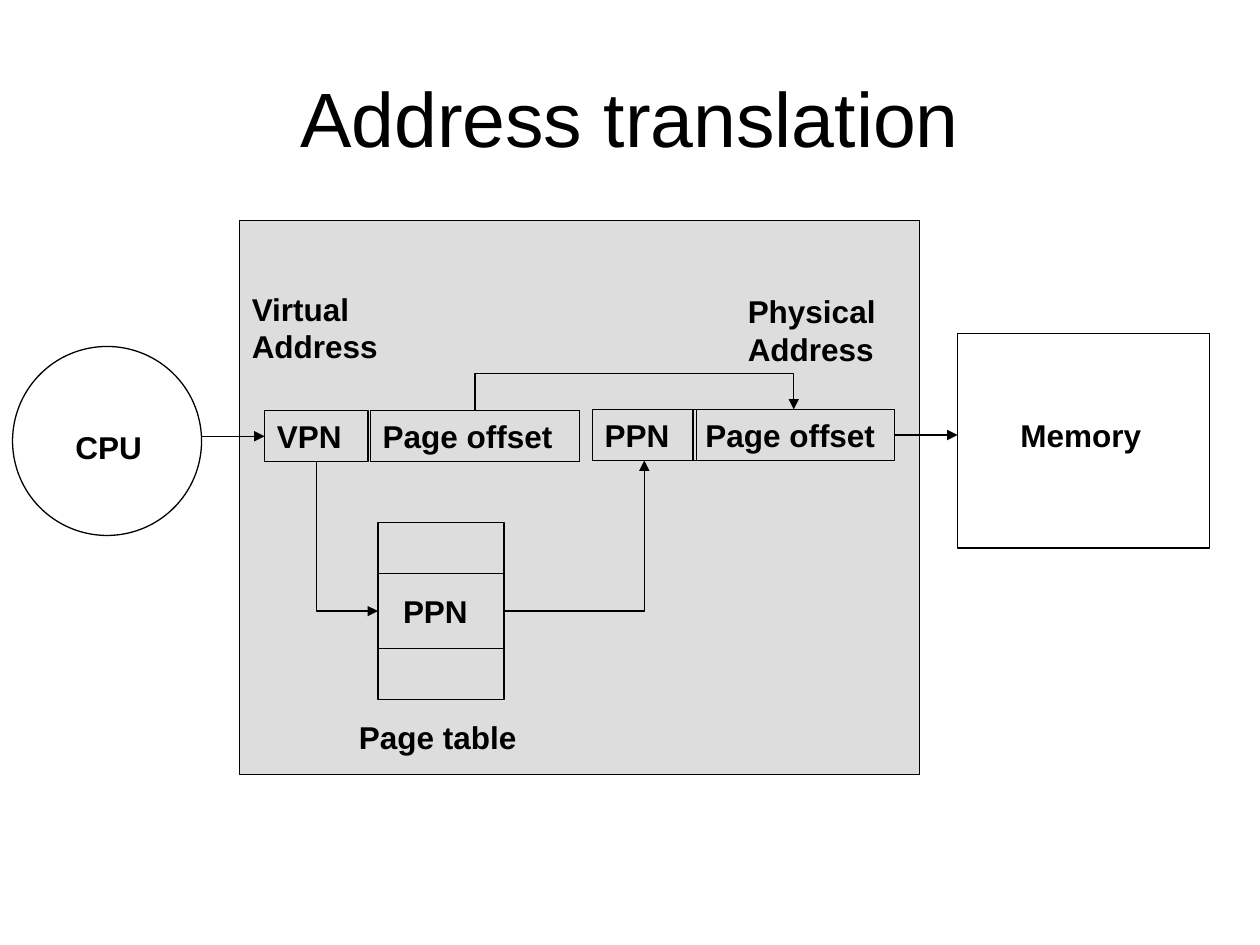
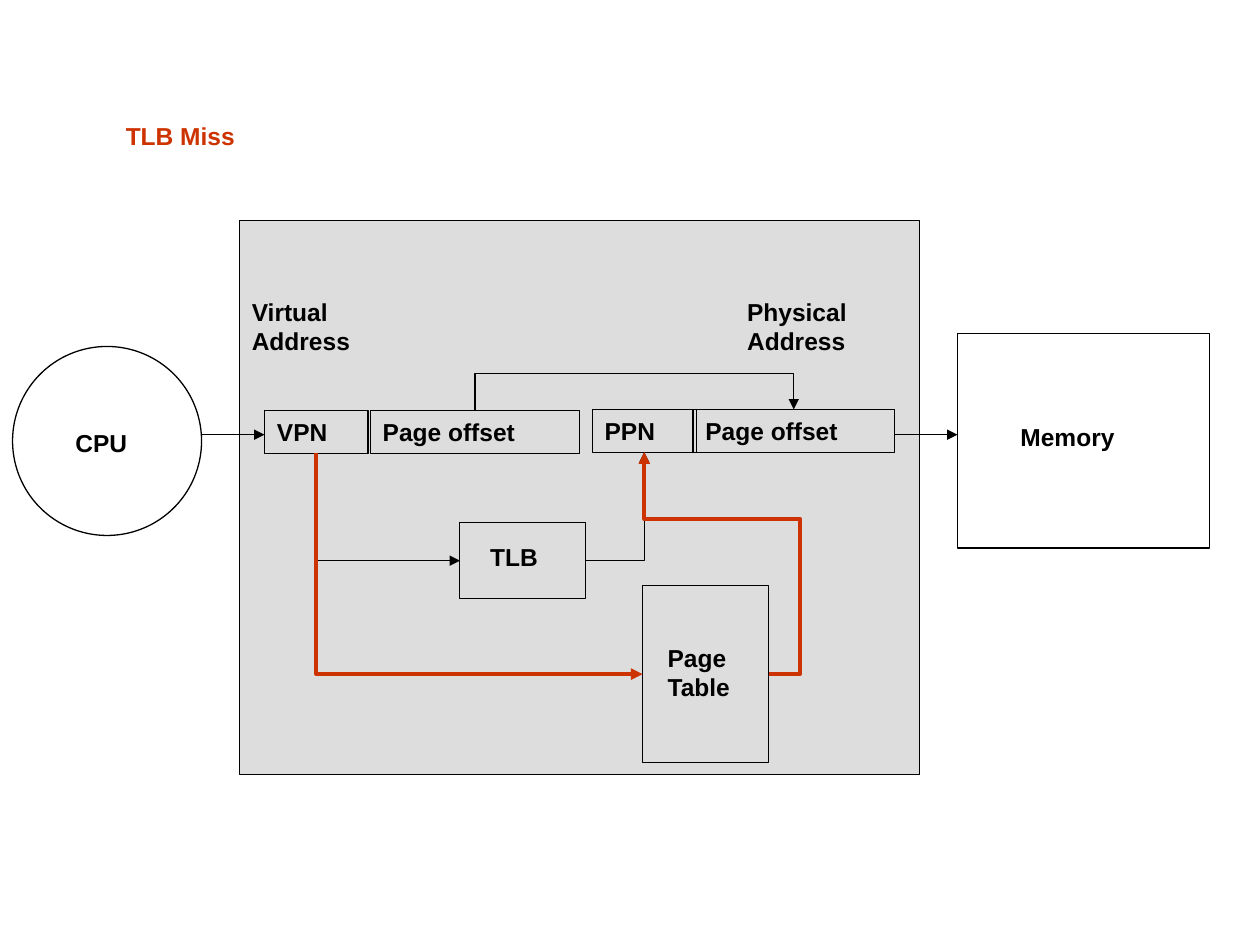
"""Build two slides on virtual address translation: page table lookup and TLB miss."""
import dataclasses

import pptx
import pptx.dml.color
import pptx.enum.shapes
import pptx.enum.text
import pptx.oxml.ns
import pptx.util
from lxml import etree

Pt = pptx.util.Pt
TOP, LEFT, BOTTOM, RIGHT = range(4)


@dataclasses.dataclass(frozen=True)
class Theme:
    font: str = "Arial"
    ink: str = "000000"
    panel: str = "DDDDDD"
    highlight: str = "CC3300"
    title_size: float = 44
    thin: float = 0.75
    thick: float = 2.25


THEME = Theme()
TITLE_FRAME = (36, 21.6, 648, 90)
PANEL = (136.8, 126, 388.8, 316.8)
CPU = (7.2, 198, 108, 108)
MEMORY = (547.2, 190.8, 144, 122.4)
BUS_Y = 248.4
OFFSET_RAIL = 213.8

ADDRESS_FIELDS = {
    "virtual page": ("VPN", 151.2, 234.7, 59.2),
    "virtual offset": ("Page offset", 211.6, 234.7, 119.6),
    "physical page": ("PPN", 338.4, 234, 59.6),
    "physical offset": ("Page offset", 396, 234, 115.2),
}
OFFSET_ROUTE = ("virtual offset", TOP, "physical offset", TOP, (OFFSET_RAIL,), False)

SLIDES = [
    {
        "title": "Address translation",
        "text_size": 18,
        "field_height": 29.2,
        "labels": [
            ("CPU", 36, 241.2, 72),
            ("Memory", 576, 234, 98),
            ("Virtual\nAddress", 136.8, 162, 100),
            ("Physical\nAddress", 420.2, 163.4, 104),
            ("Page table", 198, 406.8, 116),
            ("PPN", 223.2, 334.8, 62),
        ],
        "boxes": {
            "page table": (216, 298.8, 72, 100.8),
            "table entry": (216, 327.6, 72, 43.2),
        },
        "routes": [
            ("virtual page", BOTTOM, "table entry", LEFT, (), False),
            ("table entry", RIGHT, "physical page", BOTTOM, (), False),
            OFFSET_ROUTE,
        ],
    },
    {
        "text_size": 14,
        "field_height": 24.4,
        "labels": [
            ("CPU", 36, 241.2, 72),
            ("Memory", 576, 237.6, 82),
            ("Virtual\nAddress", 136.8, 166.2, 82),
            ("Physical\nAddress", 419.8, 166.2, 85),
            ("Page\nTable", 374.4, 363.6, 62),
            ("TLB", 273, 306, 52),
        ],
        "callout": ("TLB Miss", 64.8, 65.5, 80),
        "boxes": {
            "page table": (367.2, 334.8, 72, 100.8),
            "TLB": (262.8, 298.8, 72, 43.2),
        },
        "routes": [
            ("virtual page", BOTTOM, "TLB", LEFT, (), False),
            ("TLB", RIGHT, "physical page", BOTTOM, (), False),
            OFFSET_ROUTE,
            ("virtual page", BOTTOM, "page table", LEFT, (), True),
            ("page table", RIGHT, "physical page", BOTTOM, (457.2, 296.6), True),
        ],
    },
]


def rgb(value):
    return pptx.dml.color.RGBColor.from_string(value)


def write(shape, text, size, bold=True, color=THEME.ink, align="LEFT", anchor="TOP"):
    frame = shape.text_frame
    frame.word_wrap = True
    frame.vertical_anchor = pptx.enum.text.MSO_ANCHOR[anchor]
    for index, line in enumerate(text.split("\n")):
        paragraph = frame.add_paragraph() if index else frame.paragraphs[0]
        paragraph.alignment = pptx.enum.text.PP_ALIGN[align]
        run = paragraph.add_run()
        run.text = line
        run.font.name = THEME.font
        run.font.size = Pt(size)
        run.font.bold = bold
        run.font.color.rgb = rgb(color)


def add_label(slide, text, left, top, width, size, **style):
    height = 7.2 + 1.2 * size * len(text.split("\n"))
    write(slide.shapes.add_textbox(*map(Pt, (left, top, width, height))), text, size, **style)


def add_box(slide, frame, kind="RECTANGLE", fill=None):
    shape = slide.shapes.add_shape(pptx.enum.shapes.MSO_SHAPE[kind], *map(Pt, frame))
    shape.shadow.inherit = False
    if fill:
        shape.fill.solid()
        shape.fill.fore_color.rgb = rgb(fill)
    else:
        shape.fill.background()
    shape.line.color.rgb = rgb(THEME.ink)
    shape.line.width = Pt(THEME.thin)
    return shape


def side_point(shape, side):
    across = {LEFT: 0, RIGHT: shape.width}.get(side, shape.width // 2)
    down = {TOP: 0, BOTTOM: shape.height}.get(side, shape.height // 2)
    return shape.left + across, shape.top + down


def add_arrow(slide, start, end, kind="STRAIGHT", highlight=False):
    connector = slide.shapes.add_connector(pptx.enum.shapes.MSO_CONNECTOR[kind], *start, *end)
    connector.line.color.rgb = rgb(THEME.highlight if highlight else THEME.ink)
    connector.line.width = Pt(THEME.thick if highlight else THEME.thin)
    properties = connector._element.spPr
    line = properties.find(pptx.oxml.ns.qn("a:ln"))
    etree.SubElement(line, pptx.oxml.ns.qn("a:tailEnd"), type="triangle")
    etree.SubElement(properties, pptx.oxml.ns.qn("a:effectLst"))
    return connector


def add_route(slide, source, source_side, target, target_side, rails, highlight):
    start, end = side_point(source, source_side), side_point(target, target_side)
    connector = add_arrow(slide, start, end, "ELBOW", highlight)
    delta_x, delta_y = end[0] - start[0], end[1] - start[1]
    vertical = source_side in (TOP, BOTTOM)
    properties = connector._element.spPr
    if vertical:
        width, height = abs(delta_y), abs(delta_x)
        connector.left = (start[0] + end[0] - width) // 2
        connector.top = (start[1] + end[1] - height) // 2
        connector.width, connector.height = width, height
        transform = properties.find(pptx.oxml.ns.qn("a:xfrm"))
        transform.set("rot", str((90 if delta_y < 0 else 270) * 60000))
        transform.set("flipH", "1")
        transform.set("flipV", str(int((delta_x > 0) == (delta_y < 0))))
    geometry = properties.find(pptx.oxml.ns.qn("a:prstGeom"))
    geometry.set("prst", f"bentConnector{len(rails) + 2}")
    adjustments = geometry.find(pptx.oxml.ns.qn("a:avLst"))
    for index, rail in enumerate(rails):
        axis = (index + vertical) % 2
        ratio = (Pt(rail) - start[axis]) / (end[axis] - start[axis])
        etree.SubElement(adjustments, pptx.oxml.ns.qn("a:gd"),
                         name=f"adj{index + 1}", fmla=f"val {round(ratio * 100000)}")


def add_bus(slide, source, target, box, side):
    middle = side_point(box, side)[1]
    joined = abs(middle - Pt(BUS_Y)) <= Pt(1)
    level = middle if joined else Pt(BUS_Y)
    arrow = add_arrow(slide, (source.left + source.width, level), (target.left, level))
    if joined:
        join = arrow.end_connect if box is target else arrow.begin_connect
        join(box, side)


def build_slide(presentation, content):
    title = content.get("title")
    slide = presentation.slides.add_slide(presentation.slide_layouts[5 if title else 6])
    size = content["text_size"]
    if title:
        heading = slide.shapes.title
        heading.left, heading.top, heading.width, heading.height = map(Pt, TITLE_FRAME)
        write(heading, title, THEME.title_size, bold=False, align="CENTER", anchor="MIDDLE")
    add_box(slide, PANEL, fill=THEME.panel)
    cpu = add_box(slide, CPU, "OVAL")
    memory = add_box(slide, MEMORY)
    boxes = {name: add_box(slide, frame) for name, frame in content["boxes"].items()}
    for name, (text, left, top, width) in ADDRESS_FIELDS.items():
        boxes[name] = add_box(slide, (left, top, width, content["field_height"]))
        write(boxes[name], text, size)
    for label in content["labels"]:
        add_label(slide, *label, size)
    if "callout" in content:
        add_label(slide, *content["callout"], size, color=THEME.highlight)
    virtual_page, physical_offset = boxes["virtual page"], boxes["physical offset"]
    add_bus(slide, cpu, virtual_page, virtual_page, LEFT)
    add_bus(slide, physical_offset, memory, physical_offset, RIGHT)
    for source, source_side, target, target_side, rails, highlight in content["routes"]:
        add_route(slide, boxes[source], source_side, boxes[target], target_side, rails, highlight)


def main():
    presentation = pptx.Presentation()
    presentation.slide_width, presentation.slide_height = Pt(720), Pt(540)
    for content in SLIDES:
        build_slide(presentation, content)
    presentation.save("out.pptx")


if __name__ == "__main__":
    main()
